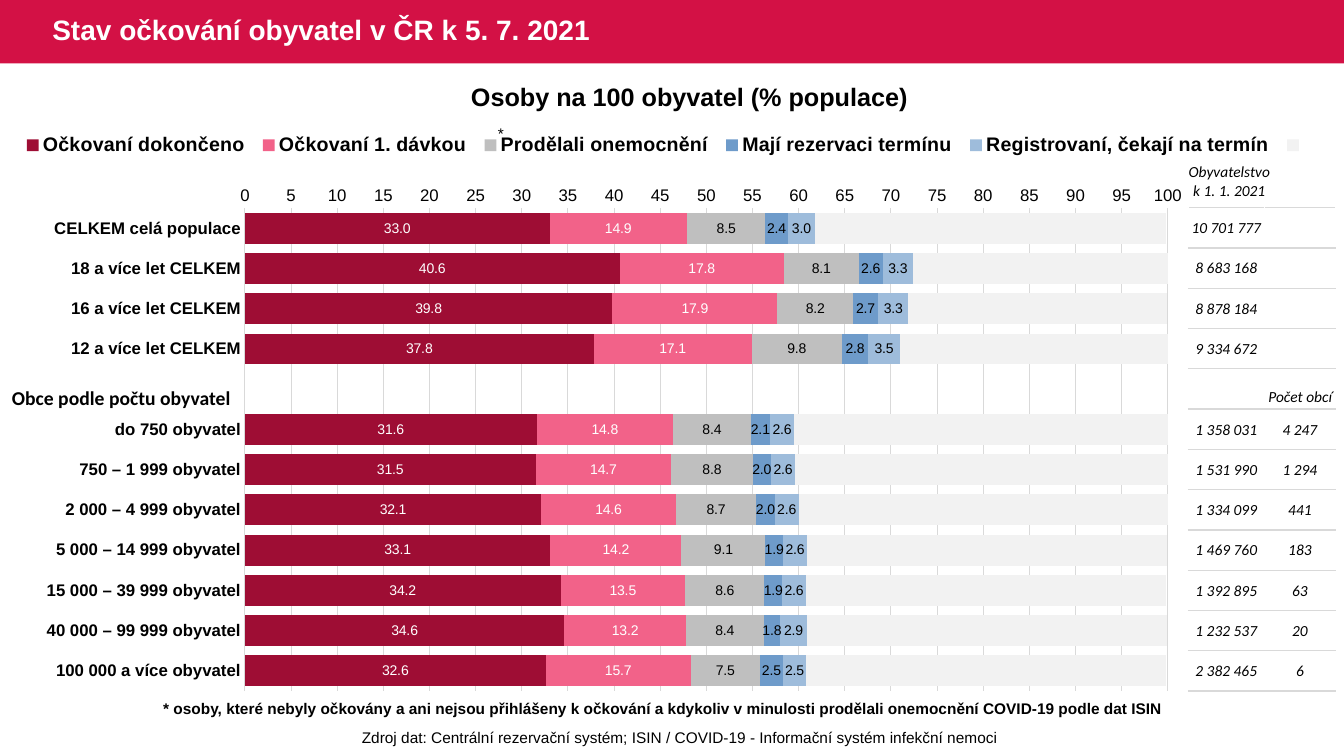
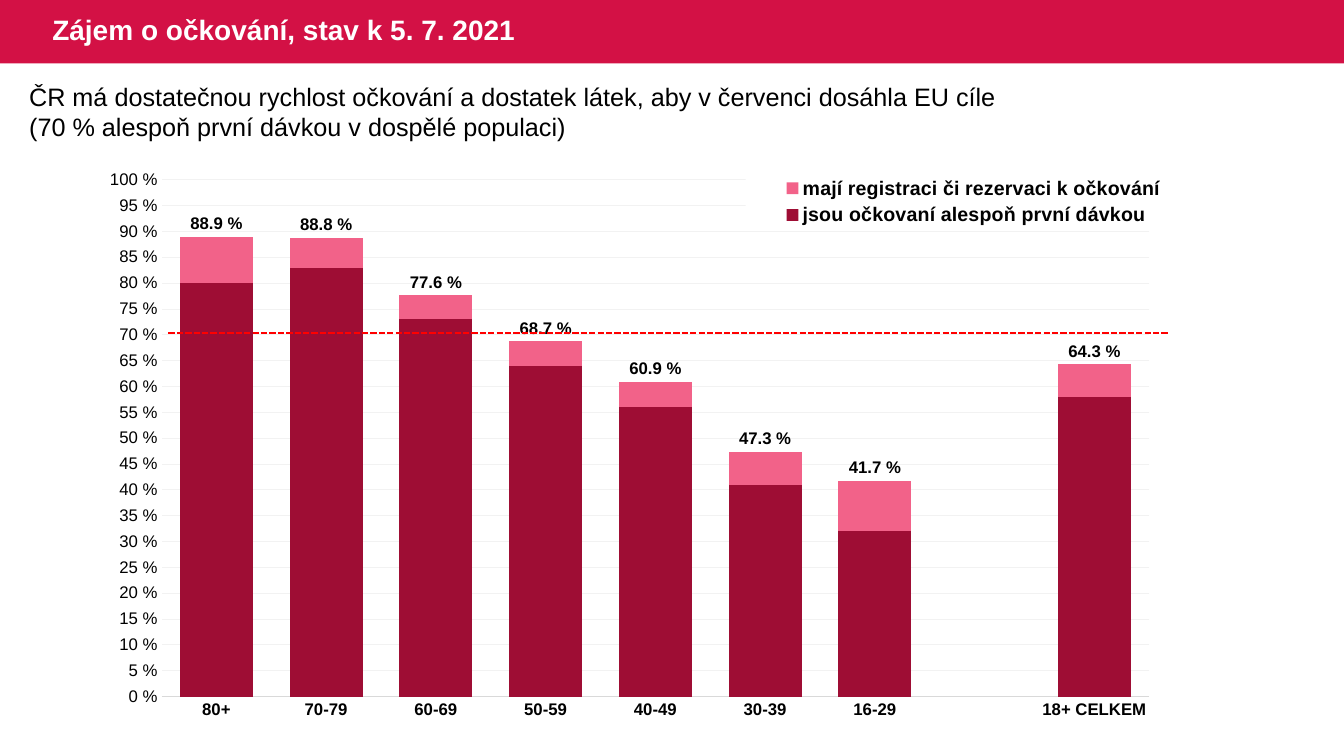
from lxml.etree import SubElement
from pptx import Presentation
from pptx.chart.data import CategoryChartData as Data
from pptx.dml.color import RGBColor
from pptx.enum.chart import XL_CHART_TYPE as Kind, XL_LABEL_POSITION as Spot
from pptx.enum.chart import XL_LEGEND_POSITION as Side, XL_TICK_MARK as Tick
from pptx.enum.dml import MSO_LINE_DASH_STYLE as Dash
from pptx.enum.shapes import MSO_CONNECTOR as Link, MSO_SHAPE as Form
from pptx.enum.text import MSO_ANCHOR as Anchor, PP_ALIGN as Align
from pptx.oxml import parse_xml
from pptx.oxml.ns import nsdecls, qn
from pptx.util import Inches, Pt

BLACK = RGBColor(0, 0, 0)
WHITE = RGBColor(255, 255, 255)
BAND = RGBColor(0xD3, 0x11, 0x45)
WINE = RGBColor(0x9E, 0x0D, 0x34)
PINK = RGBColor(0xF2, 0x62, 0x89)
GREY = RGBColor(0xBF, 0xBF, 0xBF)
BLUE = RGBColor(0x6E, 0x9B, 0xCA)
SKY = RGBColor(0x9E, 0xBC, 0xDB)
PALE = RGBColor(0xF2, 0xF2, 0xF2)
RULE = RGBColor(0xD9, 0xD9, 0xD9)
RED = RGBColor(255, 0, 0)

deck = Presentation()
deck.slide_width, deck.slide_height = Inches(13.33), Inches(7.5)
COL, ROW = deck.slide_width / 100, deck.slide_height / 100


def write(slide, box, lines, size=11, bold=False, slant=False, face="Arial",
          color=BLACK, align=Align.LEFT, wrap=False, anchor=Anchor.TOP):
    x, y, w, h = box
    shape = slide.shapes.add_textbox(int(x * COL), int(y * ROW), int(w * COL), int(h * ROW))
    frame = shape.text_frame
    frame.word_wrap, frame.vertical_anchor = wrap, anchor
    for i, line in enumerate(lines):
        para = frame.add_paragraph() if i else frame.paragraphs[0]
        para.alignment = align
        run = para.add_run()
        run.text = line
        font = run.font
        font.name, font.size, font.bold, font.italic = face, Pt(size), bold, slant
        font.color.rgb = color
    return frame


def draw(slide, kind, box, cats, rows, gap, grid, inner, key):
    data = Data()
    data.categories = cats
    for name, vals, *_ in rows:
        data.add_series(name, vals)
    x, y, w, h = box
    chart = slide.shapes.add_chart(kind, int(x * COL), int(y * ROW), int(w * COL),
                                   int(h * ROW), data).chart
    chart.has_title = False
    chart.has_legend = True
    chart.legend.position = Side.TOP
    chart.legend.include_in_layout = False
    cat, val = chart.category_axis, chart.value_axis
    for part, size, bold in ((chart, 10, False), (cat.tick_labels, 12, True),
                             (val.tick_labels, 12, False), (chart.legend, 14, True)):
        font = part.font
        font.name, font.size, font.bold = "Arial", Pt(size), bold
        font.color.rgb = BLACK
    for axis in (cat, val):
        axis.major_tick_mark = axis.minor_tick_mark = Tick.NONE
    cat.format.line.color.rgb = RULE
    cat.format.line.width = Pt(0.75)
    val.format.line.fill.background()
    val.minimum_scale, val.maximum_scale, val.major_unit = 0, 100, 5
    val.has_major_gridlines = True
    line = val.major_gridlines.format.line
    line.color.rgb, line.width = grid[0], Pt(grid[1])
    plot = chart.plots[0]
    plot.gap_width, plot.overlap, plot.vary_by_categories = gap, 100, False
    for bar, (_, _, fill, ink) in zip(plot.series, rows):
        bar.format.fill.solid()
        bar.format.fill.fore_color.rgb = fill
        bar.invert_if_negative = False
        if ink is not None:
            tags = bar.data_labels
            tags.show_value = True
            tags.number_format, tags.number_format_is_linked = "#,##0.0", False
            tags.font.name, tags.font.size = "Arial", Pt(10)
            tags.font.color.rgb = ink
    area = chart._chartSpace.chart.plotArea
    for old in area.findall(qn("c:layout")):
        area.remove(old)
    spots = []
    for share, aim in ((inner, [("layoutTarget", "inner")]), (key, [])):
        node = parse_xml(f"<c:layout {nsdecls('c')}/>")
        hand = SubElement(node, qn("c:manualLayout"))
        pairs = aim + [("xMode", "edge"), ("yMode", "edge")] + list(zip("xywh", share))
        for tag, num in pairs:
            SubElement(hand, qn(f"c:{tag}")).set("val", str(num))
        spots.append(node)
    area.insert(0, spots[0])
    chart.legend._element.find(qn("c:legendPos")).addnext(spots[1])
    return chart


slides = []
for title in ("Stav očkování obyvatel v ČR k 5. 7. 2021", "Zájem o očkování, stav k 5. 7. 2021"):
    slide = deck.slides.add_slide(deck.slide_layouts[6])
    band = slide.shapes.add_shape(Form.RECTANGLE, 0, 0, deck.slide_width, int(8.4 * ROW))
    band.shadow.inherit = False
    band.fill.solid()
    band.fill.fore_color.rgb = BAND
    band.line.fill.background()
    head = write(slide, (3.15, 0, 54, 8.4), [title], 20, True, color=WHITE,
                 wrap=True, anchor=Anchor.MIDDLE)
    head.paragraphs[0].line_spacing = 0.9
    slides.append(slide)
state, wish = slides

write(state, (26.18, 95.6, 49.05, 3.87),
      ["Zdroj dat: Centrální rezervační systém; ISIN / COVID-19 - Informační systém infekční nemoci"])
towns = ["CELKEM celá populace", "18 a více let CELKEM", "16 a více let CELKEM",
         "12 a více let CELKEM", "", "do 750 obyvatel", "750 – 1 999 obyvatel",
         "2 000 – 4 999 obyvatel", "5 000 – 14 999 obyvatel", "15 000 – 39 999 obyvatel",
         "40 000 – 99 999 obyvatel", "100 000 a více obyvatel"]
doses = [
    ("Očkovaní dokončeno",
     (33, 40.6, 39.8, 37.8, None, 31.6, 31.5, 32.1, 33.1, 34.2, 34.6, 32.6), WINE, WHITE),
    ("Očkovaní 1. dávkou",
     (14.9, 17.8, 17.9, 17.1, None, 14.8, 14.7, 14.6, 14.2, 13.5, 13.2, 15.7), PINK, WHITE),
    ("Prodělali onemocnění",
     (8.5, 8.1, 8.2, 9.8, None, 8.4, 8.8, 8.7, 9.1, 8.6, 8.4, 7.5), GREY, BLACK),
    ("Mají rezervaci termínu",
     (2.4, 2.6, 2.7, 2.8, None, 2.1, 2, 2, 1.9, 1.9, 1.8, 2.5), BLUE, BLACK),
    ("Registrovaní, čekají na termín",
     (3, 3.3, 3.3, 3.5, None, 2.6, 2.6, 2.6, 2.6, 2.6, 2.9, 2.5), SKY, BLACK),
    (" ", (38, 28, 28, 29, None, 41, 41, 40, 39, 39, 39, 39), PALE, None),
]
chart = draw(state, Kind.BAR_STACKED, (1.13, 10.27, 97.13, 85.07), towns, doses, 30,
             (RULE, 0.75), (0.176, 0.203, 0.707, 0.751), (0, 0.07, 1, 0.07))
chart.category_axis.reverse_order = True
chart.value_axis.tick_labels.number_format = "0"
chart.value_axis.tick_labels.number_format_is_linked = False
write(state, (15.83, 10.13, 70.95, 5.33), ["Osoby na 100 obyvatel (% populace)"], 18, True,
      align=Align.CENTER, wrap=True)

counts = [("10 701 777", ""), ("8 683 168", ""), ("8 878 184", ""), ("9 334 672", ""), ("", ""),
          ("1 358 031", "4 247"), ("1 531 990", "1 294"), ("1 334 099", "441"),
          ("1 469 760", "183"), ("1 392 895", "63"), ("1 232 537", "20"), ("2 382 465", "6")]
step = 5.33
table = state.shapes.add_table(len(counts), 2, int(88.43 * COL), int(27.47 * ROW),
                               int(10.96 * COL), int(step * len(counts) * ROW)).table
table.first_row = table.horz_banding = False
for col, wide in zip(table.columns, (5.63, 5.33)):
    col.width = int(wide * COL)
for r, pair in enumerate(counts):
    table.rows[r].height = int(step * ROW)
    for c, text in enumerate(pair):
        cell = table.cell(r, c)
        cell.vertical_anchor = Anchor.MIDDLE
        cell.margin_left = cell.margin_right = cell.margin_top = Inches(0.01)
        cell.margin_bottom = 0
        for edge in ("lnT", "lnB"):
            cell._tc.get_or_add_tcPr().append(parse_xml(
                f'<a:{edge} {nsdecls("a")} w="12700"><a:solidFill>'
                f'<a:srgbClr val="{RULE}"/></a:solidFill></a:{edge}>'))
        cell.fill.background()
        para = cell.text_frame.paragraphs[0]
        para.alignment = Align.CENTER
        para.font.size = Pt(11)
        if text:
            run = para.add_run()
            run.text = text
            run.font.name, run.font.size, run.font.italic = "Calibri", Pt(11), True
            run.font.color.rgb = BLACK

for box, lines in (((87.53, 20.8, 7.88, 6.27), ["Obyvatelstvo", "k 1. 1. 2021"]),
                   ((93.6, 50.53, 6.3, 3.87), ["Počet obcí"])):
    write(state, box, lines, slant=True, face="Calibri", align=Align.CENTER)
write(state, (36.3, 15.73, 1.95, 3.87), ["*"])
write(state, (11.4, 91.87, 76.35, 3.87),
      ["* osoby, které nebyly očkovány a ani nejsou přihlášeny k očkování a kdykoliv "
       "v minulosti prodělali onemocnění COVID-19 podle dat ISIN"], bold=True)
write(state, (0.15, 50.4, 17.85, 4.53), ["Obce podle počtu obyvatel"], 14, True, face="Calibri")

write(wish, (1.43, 10.13, 94.65, 9.47),
      ["ČR má dostatečnou rychlost očkování a dostatek látek, aby v červenci dosáhla EU cíle",
       "(70 % alespoň první dávkou v dospělé populaci)"], 18, wrap=True)
ages = ["80+", "70-79", "60-69", "50-59", "40-49", "30-39", "16-29", "", "18+ CELKEM"]
shares = [
    ("mají registraci či rezervaci k očkování",
     (88.9, 88.8, 77.6, 68.7, 60.9, 47.3, 41.7, None, 64.3), PINK, BLACK),
    ("jsou očkovaní alespoň první dávkou", (80, 83, 73, 64, 56, 41, 32, None, 58), WINE, None),
]
chart = draw(wish, Kind.COLUMN_CLUSTERED, (8.18, 21.33, 82.88, 76.4), ages, shares, 50,
             (PALE, 0.5), (0.045, 0.032, 0.888, 0.895), (0.57, 0.02, 0.41, 0.1))
marks = chart.value_axis.tick_labels
marks.number_format, marks.number_format_is_linked = '0" %"', False
tags = chart.plots[0].series[0].data_labels
tags.number_format, tags.position = '0.0" %"', Spot.OUTSIDE_END
tags.font.size, tags.font.bold = Pt(12), True
chart.legend._element.find(qn("c:overlay")).addnext(parse_xml(
    f'<c:spPr {nsdecls("c", "a")}><a:solidFill><a:srgbClr val="{WHITE}"/></a:solidFill></c:spPr>'))

goal = wish.shapes.add_connector(Link.STRAIGHT, int(12.53 * COL), int(44 * ROW),
                                 int(86.93 * COL), int(44 * ROW))
goal.line.color.rgb, goal.line.width = RED, Pt(1.5)
goal.line.dash_style = Dash.SQUARE_DOT
SubElement(goal._element.spPr, qn("a:effectLst"))

deck.save("out.pptx")
